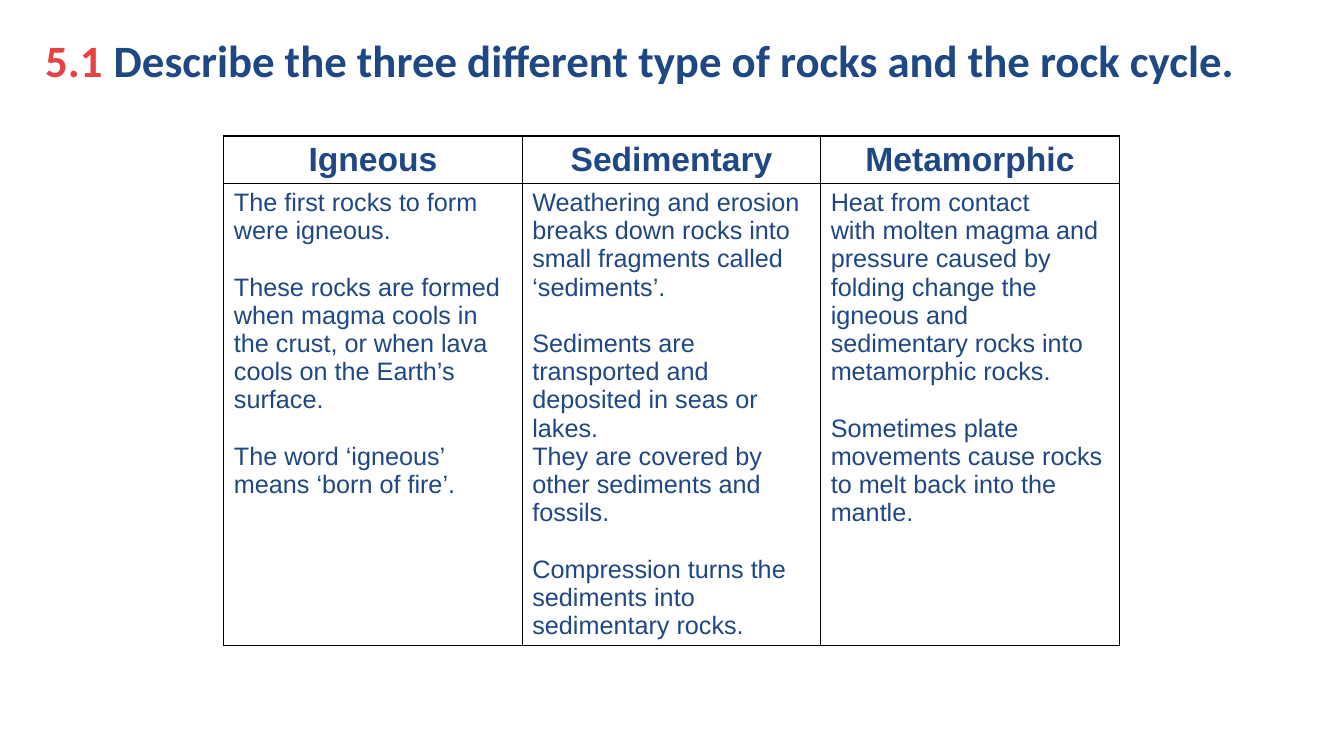
import pptx
import pptx.dml.color
import pptx.enum.text
import pptx.oxml
import pptx.oxml.ns
import pptx.util

Inches = pptx.util.Inches
Pt = pptx.util.Pt

NAVY = "1E4783"
RED = "E84141"
BLACK = "000000"
BLANK_LINE = 20.1

ROCKS = {
    "Igneous": [
        ["The first rocks to form were igneous."],
        ["These rocks are formed when magma cools in the crust, or when lava cools on the Earth’s surface."],
        ["The word ‘igneous’ means ‘born of fire’."],
    ],
    "Sedimentary": [
        ["Weathering and erosion breaks down rocks into small fragments called ‘sediments’."],
        ["Sediments are transported and deposited in seas or lakes.",
         "They are covered by other sediments and fossils."],
        ["Compression turns the sediments into sedimentary rocks."],
    ],
    "Metamorphic": [
        ["Heat from contact",
         "with molten magma and pressure caused by folding change the igneous and "
         "sedimentary rocks into metamorphic rocks."],
        ["Sometimes plate movements cause rocks to melt back into the mantle."],
    ],
}


def color(value):
    return pptx.dml.color.RGBColor.from_string(value)


def format_run(run, font_name, size, text_color, bold):
    run.font.name = font_name
    run.font.size = Pt(size)
    run.font.bold = bold
    run.font.color.rgb = color(text_color)


def add_title(slide, left, top, width, height):
    text_frame = slide.shapes.add_textbox(
        Inches(left), Inches(top), Inches(width), Inches(height)).text_frame
    text_frame.word_wrap = True
    paragraph = text_frame.paragraphs[0]
    paragraph.line_spacing = 0.9
    properties = paragraph._p.get_or_add_pPr()
    properties.set("marL", str(Inches(0.68)))
    properties.set("indent", str(-Inches(0.68)))
    parts = [
        ("5.1\t", RED),
        ("Describe the three different type of rocks and the rock cycle.", NAVY),
    ]
    for text, text_color in parts:
        run = paragraph.add_run()
        run.text = text
        format_run(run, "Calibri", 32, text_color, True)


def style_cell(cell):
    properties = cell._tc.get_or_add_tcPr()
    namespace = pptx.oxml.ns.nsdecls("a")
    for side in ("lnL", "lnR", "lnT", "lnB"):
        properties.append(pptx.oxml.parse_xml(
            f'<a:{side} {namespace} w="{Pt(1)}"><a:solidFill>'
            f'<a:srgbClr val="{BLACK}"/></a:solidFill></a:{side}>'))
    cell.fill.background()


def fill_header(cell, rock):
    cell.text_frame.text = rock
    paragraph = cell.text_frame.paragraphs[0]
    paragraph.alignment = pptx.enum.text.PP_ALIGN.CENTER
    format_run(paragraph.runs[0], "Arial", 24, NAVY, True)


def fill_description(cell, groups):
    text_frame = cell.text_frame
    for group_index, group in enumerate(groups):
        for line_index, text in enumerate(group):
            first = group_index == 0 and line_index == 0
            paragraph = text_frame.paragraphs[0] if first else text_frame.add_paragraph()
            paragraph.text = text
            if group_index > 0 and line_index == 0:
                paragraph.space_before = Pt(BLANK_LINE)
            format_run(paragraph.runs[0], "Arial", 18, NAVY, False)


def add_rock_table(slide, left, top, width, height):
    header_height = 0.47
    table = slide.shapes.add_table(
        2, len(ROCKS), Inches(left), Inches(top), Inches(width), Inches(height)).table
    table.first_row = False
    table.horz_banding = False
    table.rows[0].height = Inches(header_height)
    table.rows[1].height = Inches(height - header_height)
    for index, (rock, groups) in enumerate(ROCKS.items()):
        table.columns[index].width = Inches(width / len(ROCKS))
        fill_header(table.cell(0, index), rock)
        fill_description(table.cell(1, index), groups)
    for cell in table.iter_cells():
        style_cell(cell)


def main():
    presentation = pptx.Presentation()
    presentation.slide_width = Inches(13.33)
    presentation.slide_height = Inches(7.5)
    slide = presentation.slides.add_slide(presentation.slide_layouts[6])
    add_rock_table(slide, 2.22, 1.35, 8.88, 5.05)
    add_title(slide, 0.35, 0.34, 12.93, 0.68)
    presentation.save("out.pptx")


if __name__ == "__main__":
    main()
